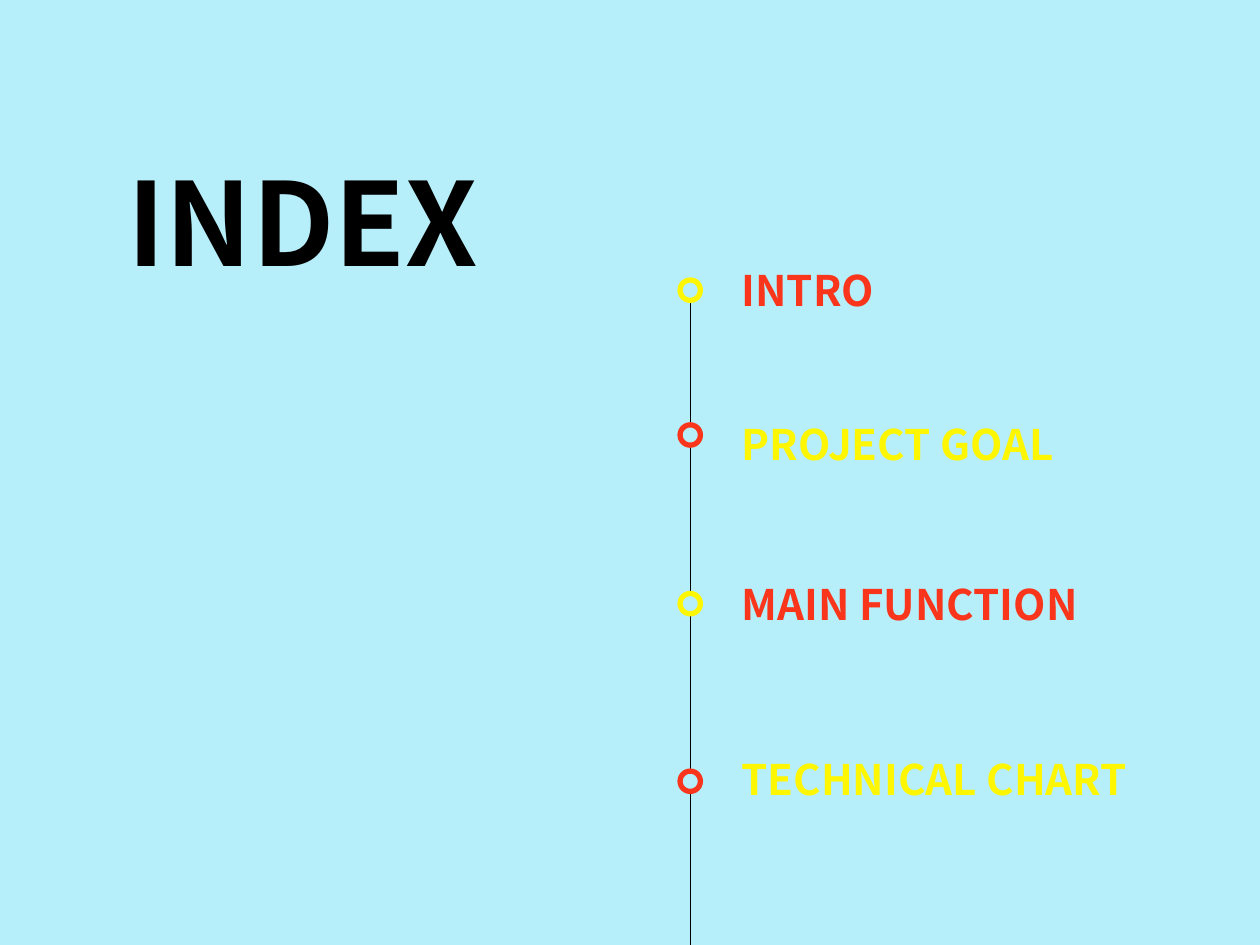
from dataclasses import dataclass
from itertools import cycle

from lxml.etree import SubElement
from pptx import Presentation
from pptx.dml.color import RGBColor
from pptx.enum.shapes import MSO_CONNECTOR, MSO_SHAPE
from pptx.enum.text import MSO_AUTO_SIZE, PP_ALIGN
from pptx.oxml.ns import qn
from pptx.util import Cm, Pt


@dataclass(frozen=True)
class Theme:
    font: str = "Noto Sans CJK KR"
    background: RGBColor = RGBColor(0xB6, 0xEE, 0xFA)
    ink: RGBColor = RGBColor(0, 0, 0)
    red: RGBColor = RGBColor(0xF9, 0x35, 0x1B)
    yellow: RGBColor = RGBColor(0xFF, 0xF6, 0x02)
    title_size: Pt = Pt(66)
    entry_size: Pt = Pt(24)
    rail_width: Pt = Pt(0.75)
    ring_width: Pt = Pt(3)


@dataclass(frozen=True)
class Box:
    left: float
    top: float
    width: float
    height: float


@dataclass(frozen=True)
class Entry:
    text: str
    ring_center: float
    label_top: float


THEME = Theme()
RING_DIAMETER = 0.41
ENTRIES = (
    Entry("INTRO", 0.64, 0),
    Entry("PROJECT GOAL", 3.56, 3.1),
    Entry("MAIN FUNCTION", 6.96, 6.32),
    Entry("TECHNICAL CHART", 10.54, 9.85),
)


def add_text(slide, box, text, size, color, alignment=PP_ALIGN.LEFT):
    shape = slide.shapes.add_textbox(
        Cm(box.left), Cm(box.top), Cm(box.width), Cm(box.height)
    )
    frame = shape.text_frame
    frame.word_wrap = True
    frame.auto_size = MSO_AUTO_SIZE.SHAPE_TO_FIT_TEXT
    paragraph = frame.paragraphs[0]
    paragraph.alignment = alignment
    run = paragraph.add_run()
    run.text = text
    run.font.name = THEME.font
    run.font.size = size
    run.font.bold = True
    run.font.color.rgb = color


def add_rail(slide, x, top, bottom):
    rail = slide.shapes.add_connector(
        MSO_CONNECTOR.STRAIGHT, Cm(x), Cm(top), Cm(x), Cm(bottom)
    )
    rail.line.color.rgb = THEME.ink
    rail.line.width = THEME.rail_width
    SubElement(rail._element.spPr, qn("a:effectLst"))


def add_ring(slide, center_x, center_y, color):
    radius = RING_DIAMETER / 2
    ring = slide.shapes.add_shape(
        MSO_SHAPE.OVAL,
        Cm(center_x - radius),
        Cm(center_y - radius),
        Cm(RING_DIAMETER),
        Cm(RING_DIAMETER),
    )
    ring.shadow.inherit = False
    ring.fill.solid()
    ring.fill.fore_color.rgb = THEME.background
    ring.line.color.rgb = color
    ring.line.width = THEME.ring_width


def add_title(slide, box):
    add_text(slide, box, "INDEX", THEME.title_size, THEME.ink, PP_ALIGN.CENTER)


def add_timeline(slide, box):
    rail_x = box.left + RING_DIAMETER / 2
    label_offset = 0.99
    label_height = 1.27
    add_rail(slide, rail_x, box.top + 0.78, box.top + box.height)
    accents = cycle(((THEME.yellow, THEME.red), (THEME.red, THEME.yellow)))
    for entry, (ring_color, label_color) in zip(ENTRIES, accents):
        add_ring(slide, rail_x, box.top + entry.ring_center, ring_color)
        label_box = Box(
            box.left + label_offset,
            box.top + entry.label_top,
            box.width - label_offset,
            label_height,
        )
        add_text(slide, label_box, entry.text, THEME.entry_size, label_color)


def add_index_slide(presentation):
    slide = presentation.slides.add_slide(presentation.slide_layouts[6])
    slide.background.fill.solid()
    slide.background.fill.fore_color.rgb = THEME.background
    add_title(slide, Box(0.51, 2.92, 11.2, 3.07))
    add_timeline(slide, Box(13.71, 5.21, 9.6, 13.84))


def main():
    presentation = Presentation()
    presentation.slide_width = Cm(25.4)
    presentation.slide_height = Cm(19.05)
    add_index_slide(presentation)
    presentation.save("out.pptx")


if __name__ == "__main__":
    main()
